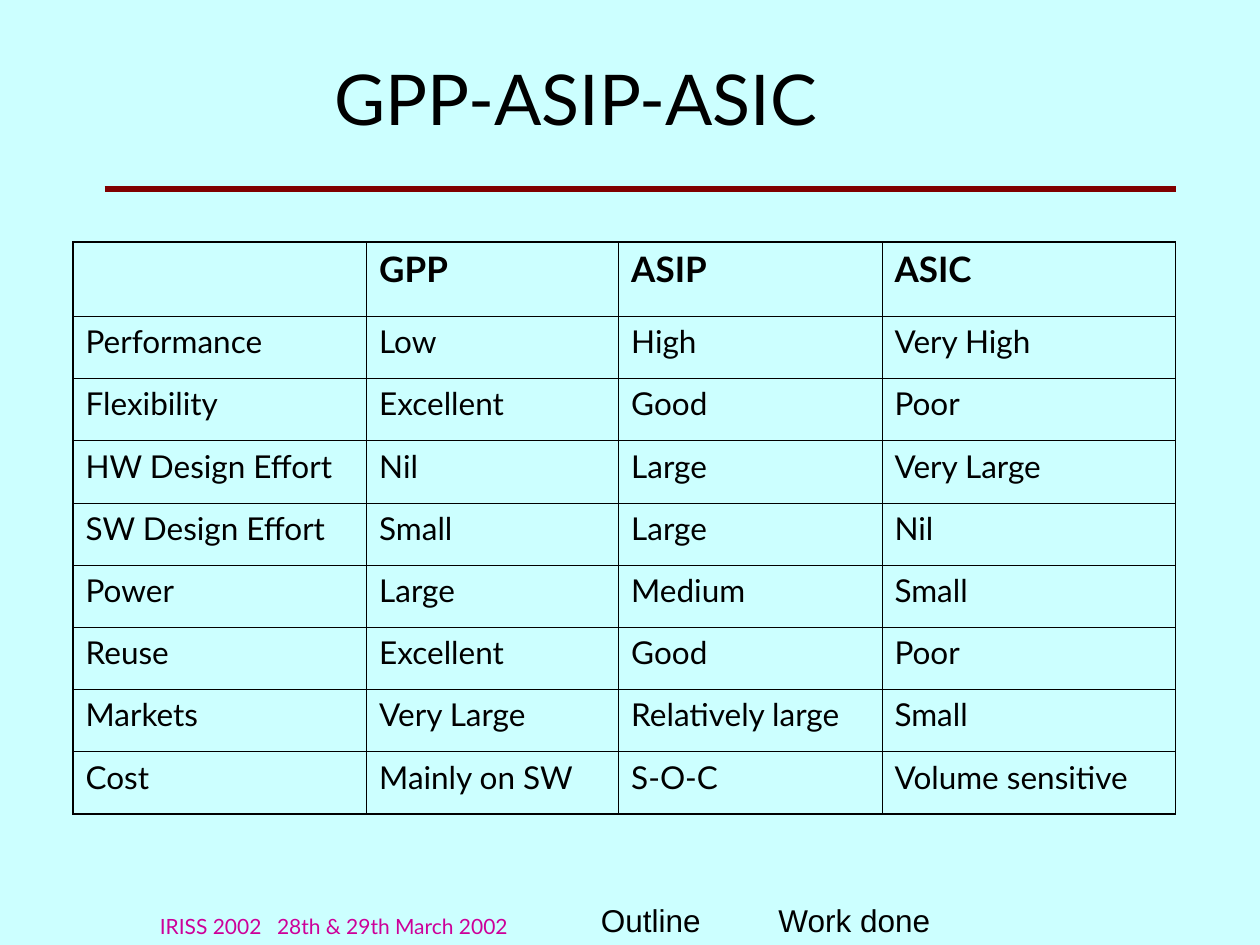
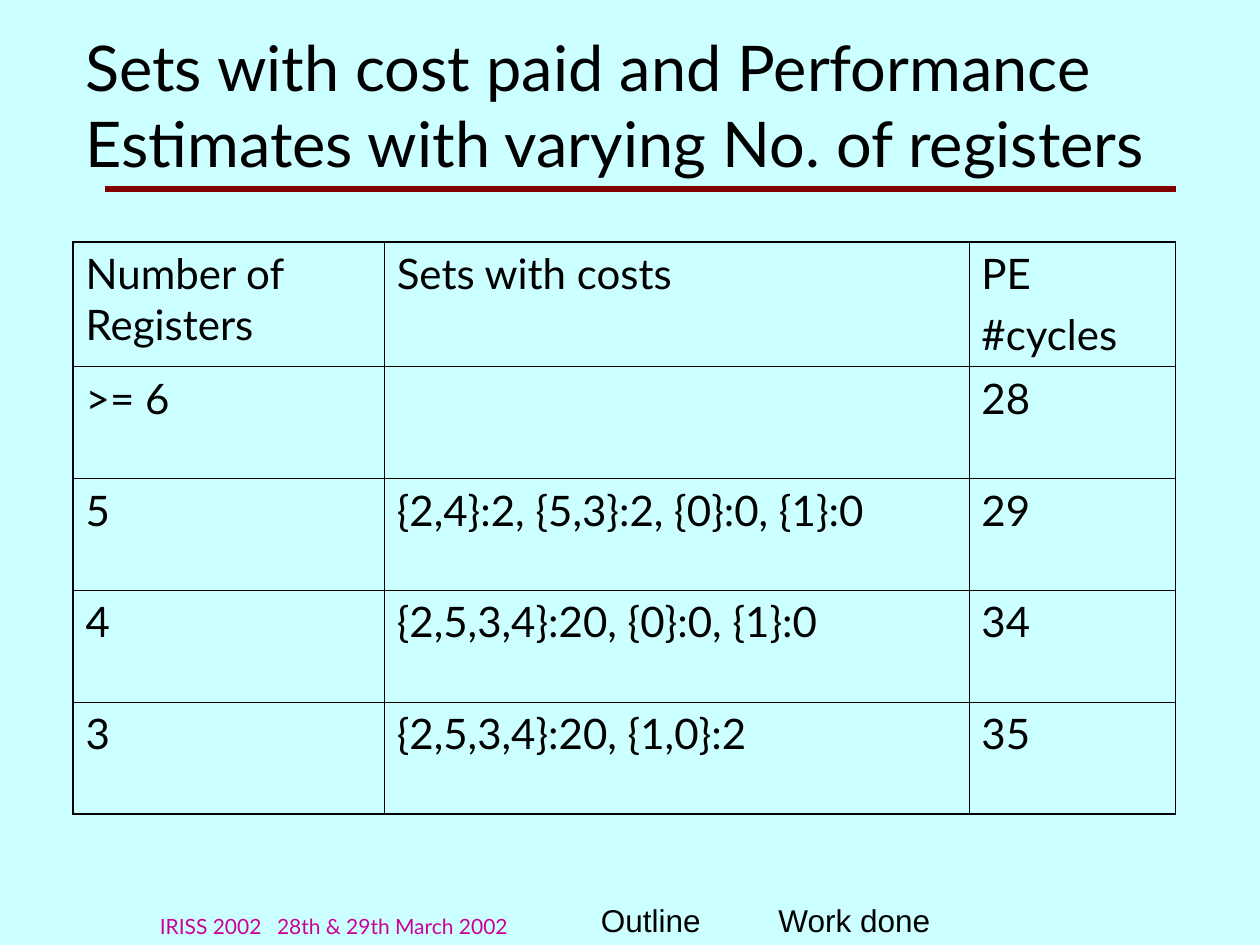
"""Build two slides of tables: processor types, and register sets with their costs."""
from lxml import etree
from pptx import Presentation
from pptx.dml.color import RGBColor
from pptx.enum.shapes import MSO_CONNECTOR
from pptx.enum.text import MSO_ANCHOR
from pptx.oxml.ns import qn
from pptx.util import Inches, Pt

STRAIGHT = MSO_CONNECTOR.STRAIGHT
MIDDLE, BOTTOM = MSO_ANCHOR.MIDDLE, MSO_ANCHOR.BOTTOM
SKY, MAROON, MAGENTA, BLACK = "CCFFFF", "800000", "CC0099", "000000"
BODY, LINK = "Lato", "Arial"
OUTER, INNER = 1.08, 0.45
TABLE_HEIGHT = 4.54


def color(value):
    return RGBColor.from_string(value)


def add_text(s, box, text, size, font=BODY, fill=BLACK, anchor=BOTTOM, tab=None):
    tf = s.shapes.add_textbox(*map(Inches, box)).text_frame
    tf.word_wrap = True
    tf.vertical_anchor = anchor
    p = tf.paragraphs[0]
    p.text = text
    if tab:
        tabs = etree.SubElement(p._p.get_or_add_pPr(), qn("a:tabLst"))
        etree.SubElement(tabs, qn("a:tab"), pos=str(Inches(tab)), algn="l")
    p.font.name, p.font.size = font, Pt(size)
    p.font.color.rgb = color(fill)


slides = [
    {
        "title": "GPP-ASIP-ASIC", "box": (2.56, 0.47, 4.71, 0.6), "title_size": 40,
        "cols": (2.33, 2, 2.09, 2.33), "head": 0.59,
        "head_size": 20, "head_bold": True, "size": 18,
        "rows": [
            ("", "GPP", "ASIP", "ASIC"),
            ("Performance", "Low", "High", "Very High"),
            ("Flexibility", "Excellent", "Good", "Poor"),
            ("HW Design Effort", "Nil", "Large", "Very Large"),
            ("SW Design Effort", "Small", "Large", "Nil"),
            ("Power", "Large", "Medium", "Small"),
            ("Reuse", "Excellent", "Good", "Poor"),
            ("Markets", "Very Large", "Relatively large", "Small"),
            ("Cost", "Mainly on SW", "S-O-C", "Volume sensitive"),
        ],
    },
    {
        "title": "Sets with cost paid and Performance Estimates with varying No. of registers",
        "box": (0.58, 0.33, 8.75, 1), "title_size": 36,
        "cols": (2.47, 4.64, 1.64), "head": 0.99,
        "head_size": 24, "head_bold": False, "size": 24,
        "rows": [
            ("Number of Registers", "Sets with costs", "PE\n#cycles"),
            (">= 6", "", "28"),
            ("5", "{2,4}:2, {5,3}:2, {0}:0, {1}:0", "29"),
            ("4", "{2,5,3,4}:20, {0}:0, {1}:0", "34"),
            ("3", "{2,5,3,4}:20, {1,0}:2", "35"),
        ],
    },
]

prs = Presentation()
prs.slide_width, prs.slide_height = Inches(10), Inches(7.5)
background = prs.slide_master.background.fill
background.solid()
background.fore_color.rgb = color(SKY)

for data in slides:
    s = prs.slides.add_slide(prs.slide_layouts[6])

    rule = s.shapes.add_connector(STRAIGHT, Inches(0.83), Inches(1.5), Inches(9.33), Inches(1.5))
    rule.line.color.rgb = color(MAROON)
    rule.line.width = Pt(3)
    etree.SubElement(rule._element.spPr, qn("a:effectLst"))

    add_text(s, (4.67, 7.1, 1.08, 0.4), "Outline", 18, LINK)
    add_text(s, (6.08, 7.1, 1.58, 0.4), "Work done", 18, LINK)
    add_text(s, data["box"], data["title"], data["title_size"], anchor=MIDDLE)

    rows, cols = data["rows"], data["cols"]
    last_row, last_col = len(rows) - 1, len(cols) - 1
    table = s.shapes.add_table(len(rows), len(cols), Inches(0.58), Inches(1.92),
                               Inches(sum(cols)), Inches(TABLE_HEIGHT)).table
    table.first_row = table.horz_banding = False
    for col, width in zip(table.columns, cols):
        col.width = Inches(width)

    for i, row in enumerate(rows):
        header = i == 0
        table.rows[i].height = Inches(data["head"] if header else (TABLE_HEIGHT - data["head"]) / last_row)
        for j, text in enumerate(row):
            cell = table.cell(i, j)
            cell.text = text
            for k, p in enumerate(cell.text_frame.paragraphs):
                if k:
                    p.space_before = Pt(6)
                p.font.name = BODY
                p.font.size = Pt(data["head_size"] if header else data["size"])
                p.font.bold = header and data["head_bold"]
                p.font.color.rgb = color(BLACK)
            tcPr = cell._tc.get_or_add_tcPr()
            edges = (("L", j == 0), ("R", j == last_col), ("T", header), ("B", i == last_row))
            for side, outer in edges:
                ln = etree.SubElement(tcPr, qn(f"a:ln{side}"), w=str(Pt(OUTER if outer else INNER)))
                fill = etree.SubElement(ln, qn("a:solidFill"))
                etree.SubElement(fill, qn("a:srgbClr"), val=BLACK)
            cell.fill.background()

    add_text(s, (1.17, 7.17, 3.75, 0.33), "IRISS 2002\t28th & 29th March 2002", 12,
             fill=MAGENTA, tab=0.93)

prs.save("out.pptx")
